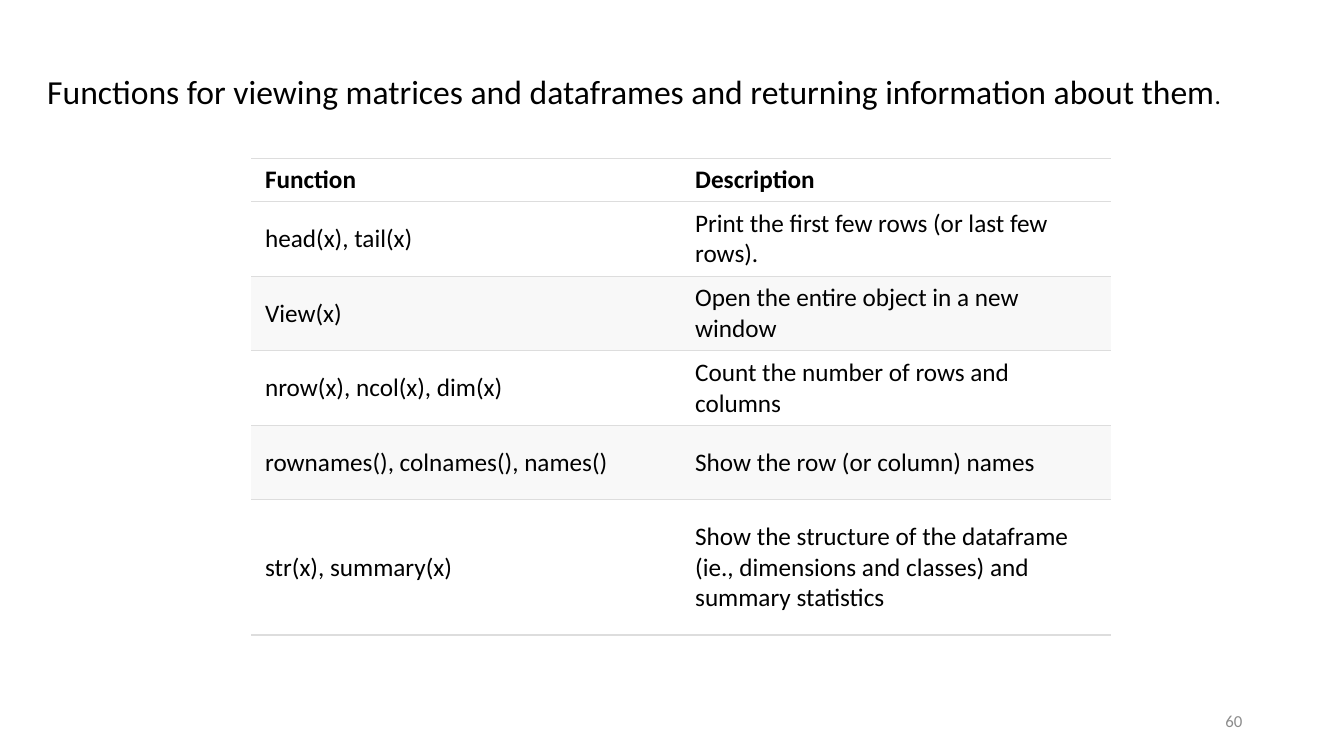
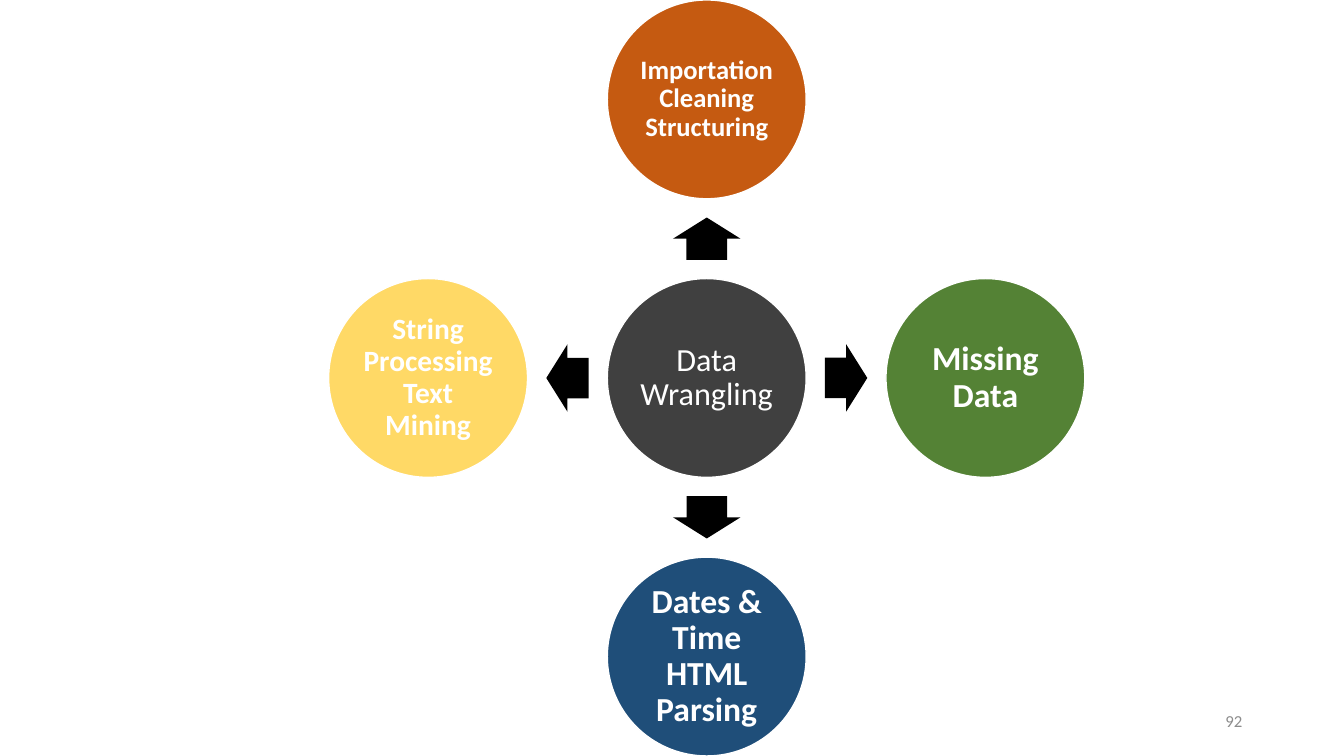
from dataclasses import dataclass
from math import cos, radians, sin

from lxml.etree import SubElement
from pptx import Presentation
from pptx.dml.color import RGBColor
from pptx.enum.shapes import MSO_SHAPE as Shape
from pptx.enum.text import MSO_ANCHOR as Anchor, PP_ALIGN as Align
from pptx.oxml.ns import qn
from pptx.util import Inches, Pt


@dataclass(frozen=True)
class Theme:
    font: str = "Calibri"
    ink: str = "000000"
    paper: str = "FFFFFF"
    band: str = "F8F8F8"
    rule: str = "DDDDDD"
    muted: str = "8C8C8C"
    hub: str = "404040"
    orange: str = "C55A11"
    green: str = "548235"
    blue: str = "1F4E79"
    yellow: str = "FFD966"
    title_size: int = 24
    body_size: int = 18
    hub_size: int = 23
    number_size: int = 12


THEME = Theme()
WIDTH, HEIGHT = 13.33, 7.5

FUNCTIONS = [
    ("Function", "Description"),
    ("head(x), tail(x)", "Print the first few rows (or last few rows)."),
    ("View(x)", "Open the entire object in a new window"),
    ("nrow(x), ncol(x), dim(x)", "Count the number of rows and columns"),
    ("rownames(), colnames(), names()", "Show the row (or column) names"),
    ("str(x), summary(x)",
     "Show the structure of the dataframe (ie., dimensions and classes) and summary statistics"),
]
ROW_HEIGHTS = [0.43, 0.74, 0.74, 0.74, 0.74, 1.34]

# Label, colour, text size and direction in degrees clockwise from the right
TOPICS = [
    ("Importation Cleaning Structuring", THEME.orange, 19, 270),
    ("Missing Data", THEME.green, 24, 0),
    ("Dates & Time HTML Parsing", THEME.blue, 24, 90),
    ("String Processing Text Mining", THEME.yellow, 21, 180),
]


def inches(*lengths):
    return [Inches(length) for length in lengths]


def add_span(para, text, size=THEME.body_size, color=THEME.ink, bold=False):
    span = para.add_run()
    span.text = text
    span.font.name = THEME.font
    span.font.size = Pt(size)
    span.font.bold = bold
    span.font.color.rgb = RGBColor.from_string(color)


def write(frame, text, align=Align.LEFT, spacing=None, **style):
    """Fill the first paragraph of a text frame and return it."""
    frame.word_wrap = True
    para = frame.paragraphs[0]
    para.alignment = align
    if spacing:
        para.line_spacing = spacing
    add_span(para, text, **style)
    return para


def paint(fill, color):
    fill.solid()
    fill.fore_color.rgb = RGBColor.from_string(color)


def add_title(page, box, text, ending):
    frame = page.shapes.add_textbox(*inches(*box)).text_frame
    para = write(frame, text, size=THEME.title_size)
    add_span(para, ending)


def add_page_number(page, number):
    frame = page.shapes.add_textbox(*inches(9.42, 6.95, 3, 0.4)).text_frame
    frame.vertical_anchor = Anchor.MIDDLE
    write(frame, str(number), align=Align.RIGHT, size=THEME.number_size, color=THEME.muted)


def set_borders(cell, top, bottom):
    """Rule a cell above and below, with open sides."""
    properties = cell._tc.get_or_add_tcPr()
    for side, width in (("L", 0), ("R", 0), ("T", top), ("B", bottom)):
        line = SubElement(properties, qn(f"a:ln{side}"), w=str(Pt(width)))
        if width:
            fill = SubElement(line, qn("a:solidFill"))
            SubElement(fill, qn("a:srgbClr"), val=THEME.rule)
        else:
            SubElement(line, qn("a:noFill"))


def add_function_table(page, box, rows, heights):
    table = page.shapes.add_table(len(rows), len(rows[0]), *inches(*box)).table
    table.first_row = table.horz_banding = False
    last = len(rows) - 1
    for r, (texts, height) in enumerate(zip(rows, heights)):
        table.rows[r].height = Inches(height)
        banded = r > 0 and r % 2 == 0
        for c, text in enumerate(texts):
            cell = table.cell(r, c)
            set_borders(cell, 0.75, 1.5 if r == last else 0.75)
            paint(cell.fill, THEME.band if banded else THEME.paper)
            cell.vertical_anchor = Anchor.MIDDLE
            cell.margin_left = cell.margin_right = Inches(0.14)
            cell.margin_top = cell.margin_bottom = Inches(0.06)
            write(cell.text_frame, text, bold=r == 0)


def add_centred(page, kind, x, y, width, height, color):
    box = inches(x - width / 2, y - height / 2, width, height)
    shape = page.shapes.add_shape(kind, *box)
    shape.shadow.inherit = False
    paint(shape.fill, color)
    shape.line.fill.background()
    return shape


def add_circle(page, x, y, diameter, color, text, **style):
    circle = add_centred(page, Shape.OVAL, x, y, diameter, diameter, color)
    paint(circle.line.fill, THEME.paper)
    circle.line.width = Pt(1)
    frame = circle.text_frame
    frame.vertical_anchor = Anchor.MIDDLE
    frame.margin_left = frame.margin_right = Inches(0.03)
    frame.margin_top = frame.margin_bottom = Inches(0.03)
    write(frame, text, align=Align.CENTER, spacing=0.9, color=THEME.paper, **style)


def add_radial_diagram(page, box, hub, topics):
    """Place a hub in the middle of a square box and topics on its four sides."""
    left, top, side = box
    x, y = left + side / 2, top + side / 2
    diameter = side * 0.263
    reach = (side - diameter) / 2
    add_circle(page, x, y, diameter, THEME.hub, hub, size=THEME.hub_size)
    for label, color, size, angle in topics:
        dx, dy = reach * cos(radians(angle)), reach * sin(radians(angle))
        arrow = add_centred(page, Shape.RIGHT_ARROW, x + dx / 2, y + dy / 2, 0.42, 0.67, THEME.ink)
        arrow.adjustments[0], arrow.adjustments[1] = 0.6, 0.5
        arrow.rotation = angle
        add_circle(page, x + dx, y + dy, diameter, color, label, size=size, bold=True)


def add_page(deck, number):
    page = deck.slides.add_slide(deck.slide_layouts[6])
    add_page_number(page, number)
    return page


def main():
    deck = Presentation()
    deck.slide_width, deck.slide_height = inches(WIDTH, HEIGHT)

    page = add_page(deck, 60)
    add_function_table(page, (2.49, 1.57, 8.53, sum(ROW_HEIGHTS)), FUNCTIONS, ROW_HEIGHTS)
    add_title(page, (0.37, 0.65, 12.05, 0.5),
              "Functions for viewing matrices and dataframes and returning information about them", ".")

    page = add_page(deck, 92)
    add_radial_diagram(page, (3.26, 0, HEIGHT), "Data Wrangling", TOPICS)

    deck.save("out.pptx")


if __name__ == "__main__":
    main()
